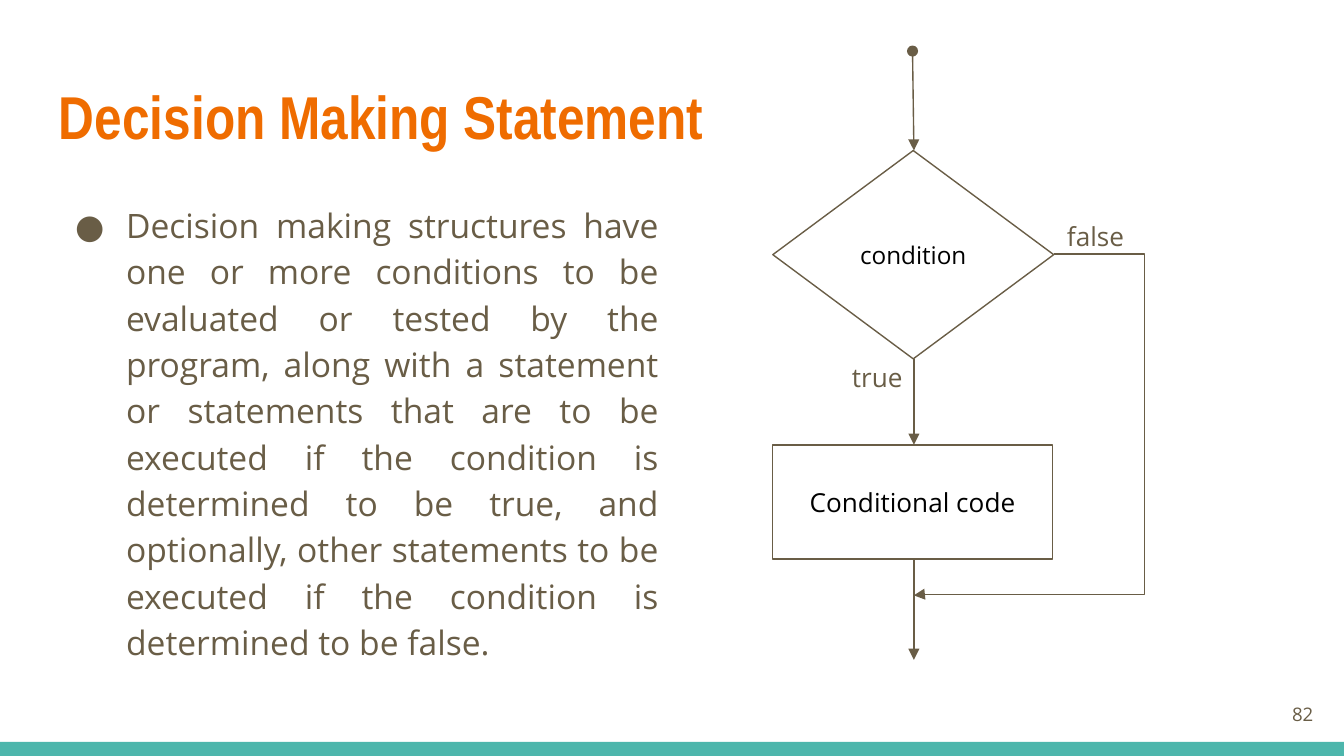
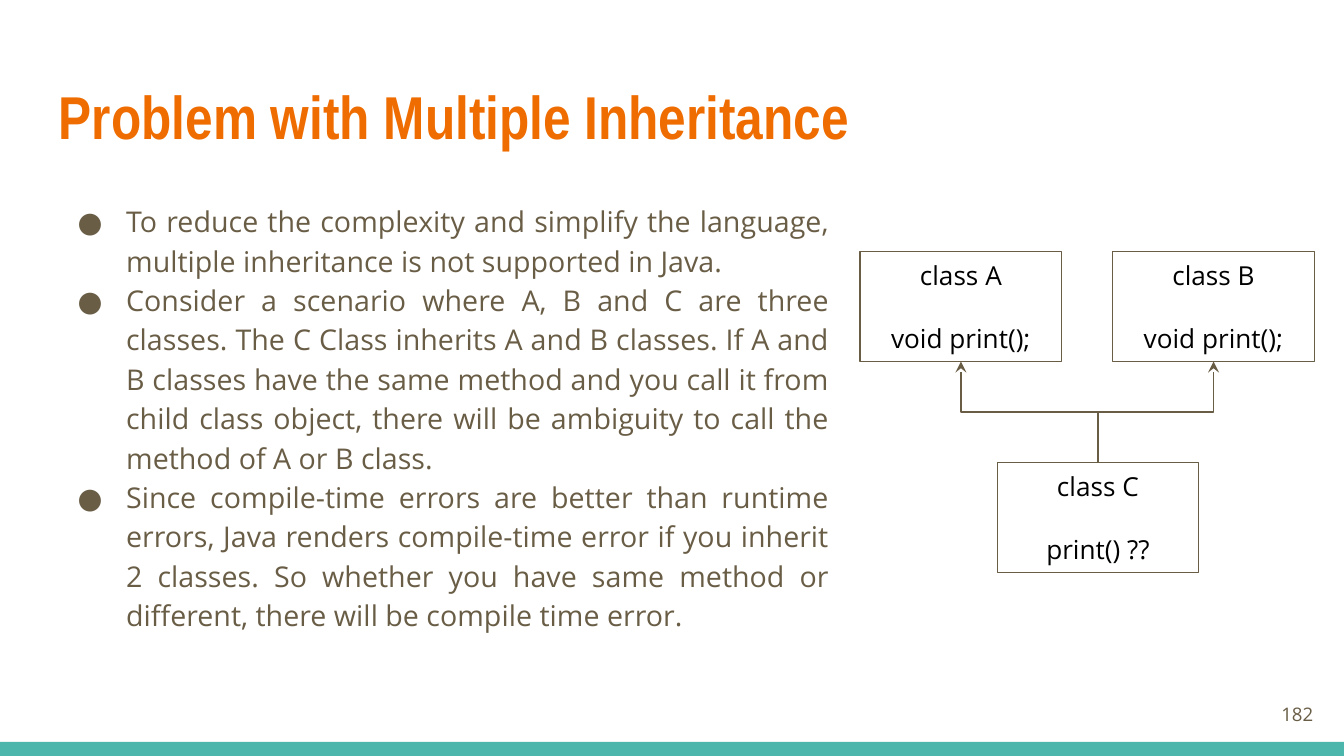
from pptx import Presentation
from pptx.dml.color import RGBColor
from pptx.enum.shapes import MSO_CONNECTOR as Connector, MSO_SHAPE as Preset
from pptx.enum.text import MSO_ANCHOR as Anchor, PP_ALIGN as Align
from pptx.oxml.ns import qn
from pptx.util import Inches, Pt
from lxml import etree

ORANGE = RGBColor(0xEF, 0x6C, 0x00)
TEAL = RGBColor(0x4D, 0xB6, 0xAC)
BROWN = RGBColor(0x69, 0x5D, 0x46)
BLACK = RGBColor(0x00, 0x00, 0x00)

TITLE = {"name": "Arial Narrow", "size": Pt(32.4), "bold": True}
BODY_FONT = "Open Sans"
LABEL = {"name": BODY_FONT, "size": Pt(14)}
PAGE_NUMBER = {"name": BODY_FONT, "size": Pt(10)}


def write(shape, lines, font, color, align=Align.LEFT, anchor=Anchor.TOP,
          hanging=None, line_spacing=None, gap=0):
    """Fill a shape with paragraphs; hanging is the bullet indent in inches."""
    frame = shape.text_frame
    frame.word_wrap = True
    frame.vertical_anchor = anchor
    for side in ("left", "right", "top", "bottom"):
        setattr(frame, f"margin_{side}", Inches(0.1))
    for index, line in enumerate(lines):
        paragraph = frame.paragraphs[0] if index == 0 else frame.add_paragraph()
        paragraph.text = line
        paragraph.alignment = align
        if line_spacing:
            paragraph.line_spacing = line_spacing
        if index and gap:
            paragraph.space_before = Pt(gap)
        if hanging:
            properties = paragraph._p.get_or_add_pPr()
            properties.set("marL", str(Inches(0.5)))
            properties.set("indent", str(-Inches(hanging)))
            bullet_color = etree.SubElement(properties, qn("a:buClr"))
            etree.SubElement(bullet_color, qn("a:srgbClr"), val=str(color))
            etree.SubElement(properties, qn("a:buFont"), typeface=BODY_FONT)
            etree.SubElement(properties, qn("a:buChar"), char="●")
        for name, value in font.items():
            setattr(paragraph.font, name, value)
        paragraph.font.color.rgb = color


def connect(slide, begin, end, kind=Connector.STRAIGHT, head=None, tail="triangle"):
    connector = slide.shapes.add_connector(kind, *map(Inches, (*begin, *end)))
    connector.line.color.rgb = BROWN
    connector.line.width = Pt(0.75)
    for tag, arrow in (("a:headEnd", head), ("a:tailEnd", tail)):
        if arrow:
            etree.SubElement(connector.get_or_add_ln(), qn(tag), type=arrow)
    etree.SubElement(connector._element.spPr, qn("a:effectLst"))
    return connector


presentation = Presentation()
presentation.slide_width = Inches(10)
presentation.slide_height = Inches(10) * 9 // 16

# Shared frame, title and body of each slide
pages = [
    {"title": "Decision Making Statement", "number": "82",
     "width": 4.66, "size": 18, "hanging": 0.38,
     "body": ["Decision making structures have one or more conditions to be "
              "evaluated or tested by the program, along with a statement or "
              "statements that are to be executed if the condition is determined "
              "to be true, and optionally, other statements to be executed if the "
              "condition is determined to be false."]},
    {"title": "Problem with Multiple Inheritance", "number": "182",
     "width": 5.93, "size": 15.3, "hanging": 0.36,
     "body": ["To reduce the complexity and simplify the language, multiple "
              "inheritance is not supported in Java.",
              "Consider a scenario where A, B and C are three classes. The C Class "
              "inherits A and B classes. If A and B classes have the same method "
              "and you call it from child class object, there will be ambiguity to "
              "call the method of A or B class.",
              "Since compile-time errors are better than runtime errors, Java "
              "renders compile-time error if you inherit 2 classes. So whether you "
              "have same method or different, there will be compile time error."]},
]
slides = []
for page in pages:
    slide = presentation.slides.add_slide(presentation.slide_layouts[6])
    slides.append(slide)
    band = slide.shapes.add_shape(
        Preset.RECTANGLE, 0, Inches(5.52), Inches(10), Inches(0.11))
    band.shadow.inherit = False
    band.fill.solid()
    band.fill.fore_color.rgb = TEAL
    band.line.fill.background()
    title = slide.shapes.add_textbox(*map(Inches, (0.34, 0.49, 9.32, 0.77)))
    write(title, [page["title"]], TITLE, ORANGE)
    body = slide.shapes.add_textbox(*map(Inches, (0.34, 1.38, page["width"], 3.61)))
    write(body, page["body"], {"name": BODY_FONT, "size": Pt(page["size"])}, BROWN,
          Align.JUSTIFY, hanging=page["hanging"], line_spacing=1.15)
    number = slide.shapes.add_textbox(*map(Inches, (9.27, 5.1, 0.6, 0.43)))
    write(number, [page["number"]], PAGE_NUMBER, BROWN, Align.RIGHT, Anchor.MIDDLE)

flow, inheritance = slides

# Outlined boxes of both diagrams
boxes = [
    (flow, Preset.DIAMOND, (5.75, 1.12, 2.09, 1.55), ["condition"], 13),
    (flow, Preset.RECTANGLE, (5.75, 3.31, 2.08, 0.85), ["Conditional code"], 14),
    (inheritance, Preset.RECTANGLE, (6.4, 1.87, 1.5, 0.82), ["class A", "void print();"], 14),
    (inheritance, Preset.RECTANGLE, (8.28, 1.87, 1.5, 0.82), ["class B", "void print();"], 14),
    (inheritance, Preset.RECTANGLE, (7.42, 3.44, 1.5, 0.82), ["class C", "print() ??"], 14),
]
for slide, preset, place, lines, size in boxes:
    box = slide.shapes.add_shape(preset, *map(Inches, place))
    box.shadow.inherit = False
    box.fill.background()
    box.line.color.rgb = BROWN
    box.line.width = Pt(0.75)
    write(box, lines, {"name": BODY_FONT, "size": Pt(size)}, BLACK,
          Align.CENTER, Anchor.MIDDLE, gap=17)

# Decision flow: straight steps, then the false branch around the code
connect(flow, (6.79, 0.38), (6.8, 1.12), head="oval")
connect(flow, (6.8, 2.67), (6.8, 3.31))
connect(flow, (6.8, 4.16), (6.8, 4.91))
false_branch = connect(flow, (7.84, 1.89), (6.8, 4.43), Connector.ELBOW)
geometry = false_branch._element.spPr.find(qn("a:prstGeom"))
geometry.set("prst", "bentConnector4")
adjustments = geometry.find(qn("a:avLst"))
if adjustments is None:
    adjustments = etree.SubElement(geometry, qn("a:avLst"))
for name, value in (("adj1", -64900), ("adj2", 99700)):
    etree.SubElement(adjustments, qn("a:gd"), name=name, fmla=f"val {value}")
for text, left, top in (("true", 6.24, 2.59), ("false", 7.84, 1.54)):
    label = flow.shapes.add_textbox(*map(Inches, (left, top, 0.78, 0.44)))
    write(label, [text], LABEL, BROWN)

# Inheritance arrows leave class C upwards, so each elbow is a turned one
child_x, child_top, parent_bottom = 8.17, 3.44, 2.69
half_rise = (child_top - parent_bottom) / 2
center_y = (child_top + parent_bottom) / 2
for parent_x, degrees in ((7.15, 90), (9.03, 270)):
    center_x = (child_x + parent_x) / 2
    half_run = abs(child_x - parent_x) / 2
    rise = half_rise if degrees == 90 else -half_rise
    elbow = connect(inheritance, (center_x + rise, center_y - half_run),
                    (center_x - rise, center_y + half_run),
                    Connector.ELBOW, tail="stealth")
    elbow._element.spPr.find(qn("a:xfrm")).set("rot", str(degrees * 60000))

presentation.save("out.pptx")
